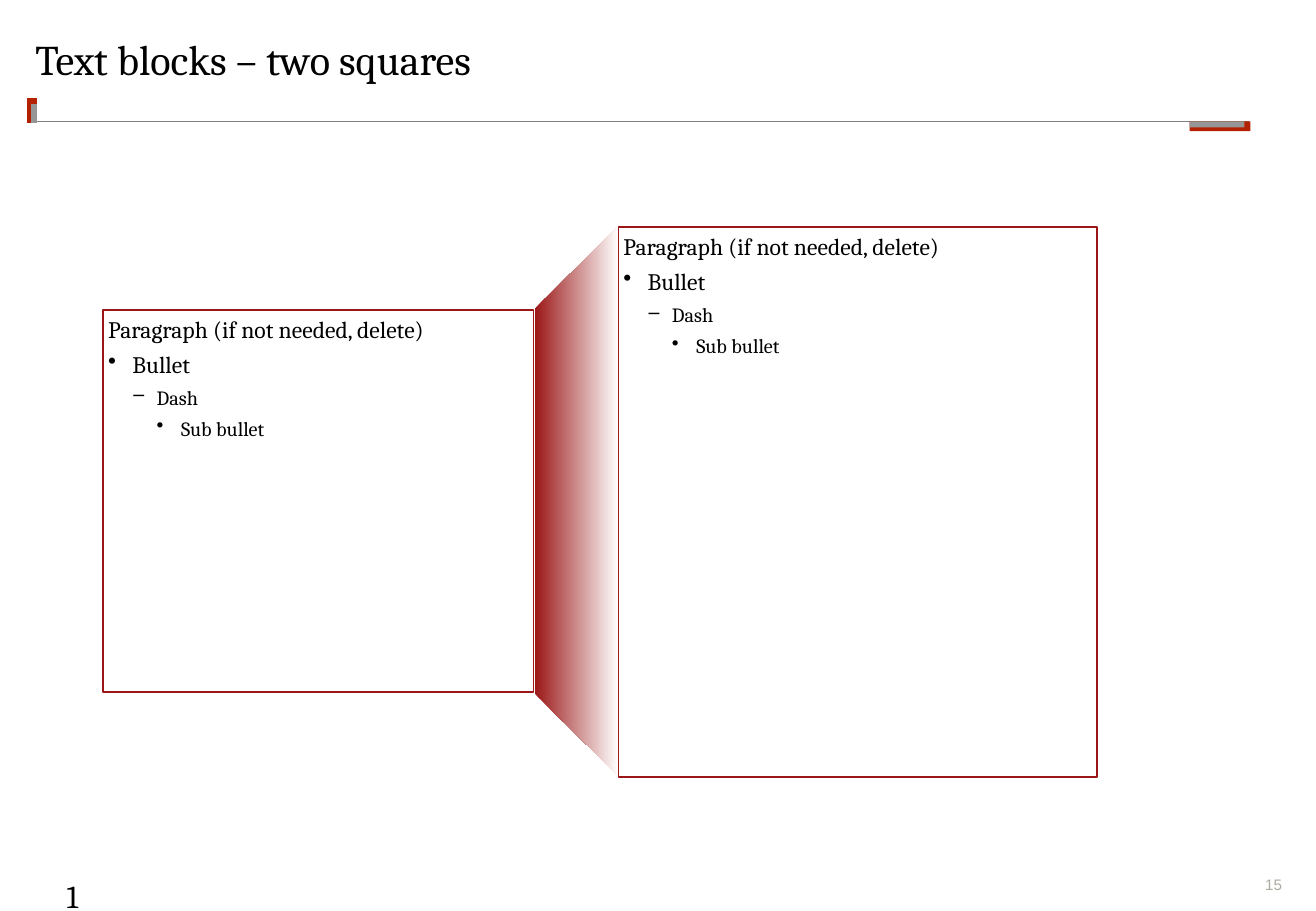
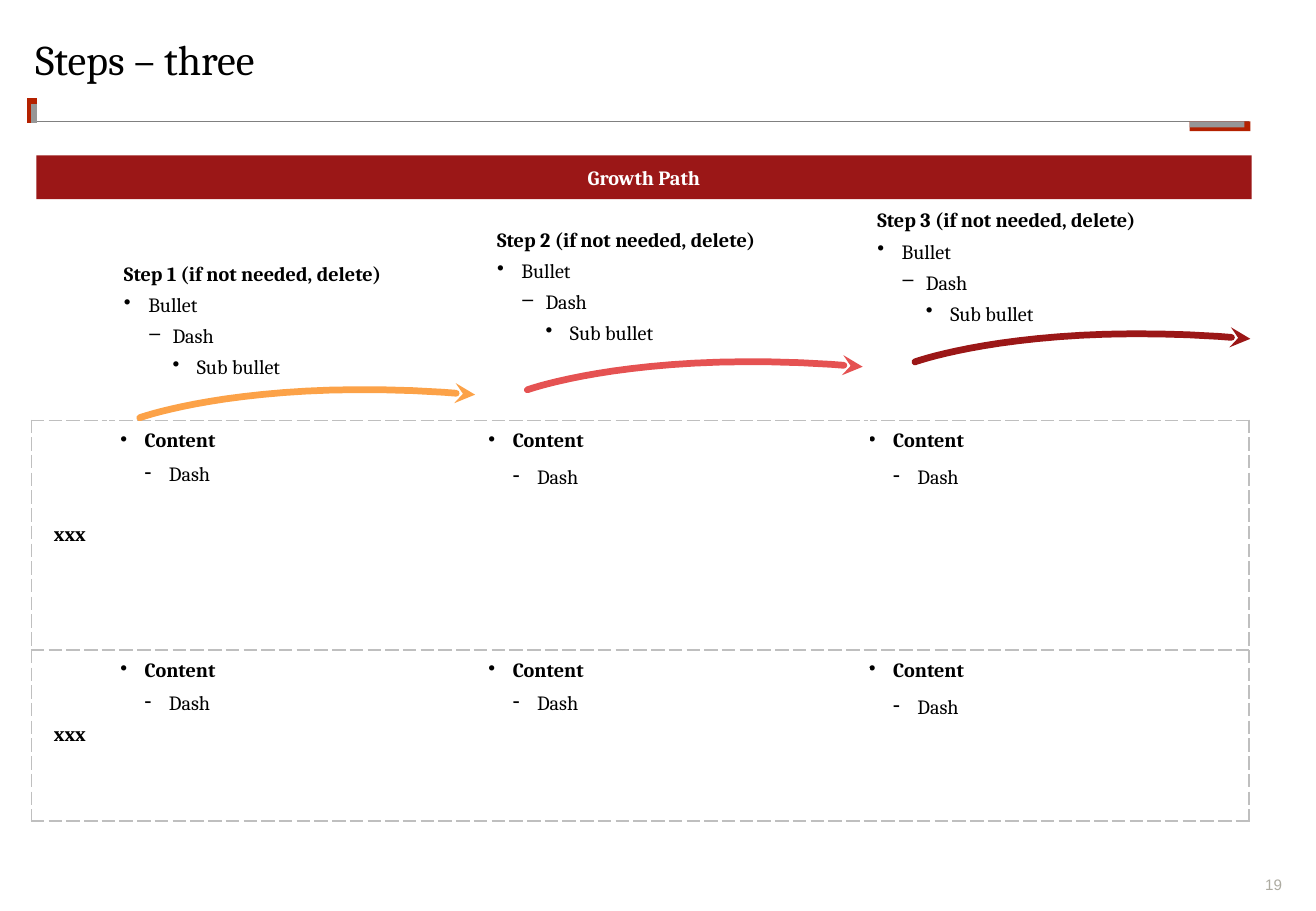
from lxml.etree import SubElement
from pptx import Presentation
from pptx.dml.color import RGBColor
from pptx.enum.shapes import MSO_CONNECTOR, MSO_SHAPE as Shape
from pptx.enum.text import MSO_ANCHOR as Anchor, PP_ALIGN as Align
from pptx.oxml.ns import qn
from pptx.util import Inches, Pt

color = RGBColor.from_string
BLACK, WHITE = "000000", "FFFFFF"
CRIMSON, RUST, GREY = "9B1717", "B42100", "969696"
DASH_GREY = "BFBFBF"
SNUG = (0.04, 0.04, 0.04, 0.04)
FLUSH = (0, 0, 0, 0)
STANDARD = (0.1, 0.05, 0.1, 0.05)
INDENT = 0.2


def write(holder, lines, inset=SNUG, ink=BLACK, font="Cambria", align=Align.LEFT,
          anchor=Anchor.TOP, before=0, spacing=None):
    """Fill a text frame or table cell; a line is (text, size, bold, level, bullet)."""
    holder.margin_left, holder.margin_top, holder.margin_right, holder.margin_bottom = map(Inches, inset)
    holder.vertical_anchor = anchor
    holder.word_wrap = True
    frame = getattr(holder, "text_frame", holder)
    frame.text = "\n".join(line[0] for line in lines)
    for para, (_, size, bold, level, bullet) in zip(frame.paragraphs, lines):
        para.alignment = align
        para.space_before = Pt(before)
        para.line_spacing = spacing
        if bullet:
            props = para._p.get_or_add_pPr()
            props.set("marL", str(Inches(INDENT * level)))
            props.set("indent", str(-Inches(INDENT)))
            SubElement(props, qn("a:buChar"), char=bullet)
        for span in para.runs:
            span.font.name = font
            span.font.size = Pt(size)
            span.font.bold = bold
            span.font.color.rgb = color(ink)


def add_box(slide, at, fill, outline=None):
    box = slide.shapes.add_shape(Shape.RECTANGLE, *map(Inches, at))
    box.shadow.inherit = False
    box.fill.solid()
    box.fill.fore_color.rgb = color(fill)
    if outline:
        box.line.color.rgb = color(outline)
        box.line.width = Pt(1)
    else:
        box.line.fill.background()
    return box


deck = Presentation()
deck.slide_width, deck.slide_height = Inches(10.83), Inches(7.5)

# Shared frame: page number, rules, corner marks, title
pages = []
for title, number in [("Text blocks – two squares", "15"), ("Steps – three", "19")]:
    page = deck.slides.add_slide(deck.slide_layouts[6])
    pages.append(page)
    number_box = page.shapes.add_textbox(*map(Inches, (10.24, 7.21, 0.31, 0.15)))
    write(number_box.text_frame, [(number, 9, False, 0, None)], FLUSH, "ADABA1", "Arial",
          Align.RIGHT, Anchor.BOTTOM)
    for x1, y1, x2, y2, hue, width in [
        (0.3, 1, 10.28, 1, "808080", 1),
        (0.26, 1.01, 0.26, 0.81, RUST, 6),
        (0.28, 1.01, 0.28, 0.86, GREY, 3),
    ]:
        rule = page.shapes.add_connector(MSO_CONNECTOR.STRAIGHT, *map(Inches, (x1, y1, x2, y2)))
        rule.line.color.rgb = color(hue)
        rule.line.width = Pt(width)
        SubElement(rule._element.spPr, qn("a:effectLst"))
    add_box(page, (9.79, 1, 0.5, 0.08), RUST)
    add_box(page, (9.79, 1, 0.45, 0.05), GREY)
    title_box = page.shapes.add_textbox(*map(Inches, (0.29, 0.32, 10.25, 0.67)))
    write(title_box.text_frame, [(title, 25, False, 0, None)], FLUSH, spacing=0.9)

squares, steps = pages

# Two squares joined by a fading trapezoid
extra_number = squares.shapes.add_textbox(*map(Inches, (0.45, 7.17, 0.38, 0.16)))
write(extra_number.text_frame, [("15", 19, False, 0, None)], STANDARD)
for at in [(0.85, 2.55, 3.54, 3.15), (5.09, 1.87, 3.94, 4.53)]:
    square = add_box(squares, at, WHITE, CRIMSON)
    write(square.text_frame, [
        ("Paragraph (if not needed, delete)", 14, False, 0, None),
        ("Bullet", 14, False, 1, "•"),
        ("Dash", 12, False, 2, "‒"),
        ("Sub bullet", 12, False, 3, "•"),
    ], before=4)

funnel = squares.shapes.add_shape(Shape.TRAPEZOID, *map(Inches, (2.48, 3.78, 4.53, 0.69)))
funnel.rotation = 270
funnel.adjustments[0] = 0.99
funnel.shadow.inherit = False
funnel.line.fill.background()
funnel.fill.gradient()
funnel.fill.gradient_angle = 270
for stop, position, hue in zip(funnel.fill.gradient_stops, (0, 1), (CRIMSON, WHITE)):
    stop.position = position
    stop.color.rgb = color(hue)

# Content table with dashed borders
table = steps.shapes.add_table(3, 4, *map(Inches, (0.26, 3.17, 10.02, 3.59))).table
table.first_row = table.horz_banding = False
for column, width in zip(table.columns, (0.63, 3.13, 3.13, 3.13)):
    column.width = Inches(width)
for row, height in zip(table.rows, (0.29, 1.89, 1.41)):
    row.height = Inches(height)
table.cell(0, 0).merge(table.cell(0, 2))

for r in range(3):
    for c in range(4):
        cell = table.cell(r, c)
        if r == 0:
            cell.text_frame.paragraphs[0]._p.get_or_add_endParaRPr().set("sz", "1000")
            borders = {"lnB": DASH_GREY}
        else:
            if c == 0:
                write(cell, [("xxx", 12, True, 0, None)], align=Align.CENTER, anchor=Anchor.MIDDLE)
            else:
                roomy = c == 3 or (r, c) == (1, 2)
                write(cell, [("Content", 12, True, 1, "•"), ("Dash", 12, False, 2, "-")],
                      STANDARD if c == 1 else (0, 0.05, 0, 0.05),
                      before=6 if roomy else 4, spacing=1.14)
            borders = {
                "lnL": DASH_GREY if c == 0 else WHITE,
                "lnR": DASH_GREY if c == 3 else WHITE,
                "lnT": DASH_GREY,
                "lnB": DASH_GREY,
            }
        cell_props = cell._tc.get_or_add_tcPr()
        for side, hue in borders.items():
            border = SubElement(cell_props, qn("a:" + side), w=str(Pt(1)))
            SubElement(SubElement(border, qn("a:solidFill")), qn("a:srgbClr"), val=hue)
            SubElement(border, qn("a:prstDash"), val="sysDash")
        cell.fill.background()

# Heading band
band = add_box(steps, (0.3, 1.28, 10, 0.36), CRIMSON)
write(band.text_frame, [("Growth Path", 12, True, 0, None)], ink=WHITE,
      align=Align.CENTER, anchor=Anchor.MIDDLE)

# Rising steps: a curved arrow and its text
SEGMENTS = 20
for i, (hue, left, top) in enumerate([("FCA248", 0.98, 2.11), ("E55252", 4.05, 1.83),
                                      (CRIMSON, 7.18, 1.67)]):
    start_x, start_y = 1.15 + 3.19 * i, 3.44 - 0.23 * i
    points = []
    for n in range(1, SEGMENTS + 1):
        t = n / SEGMENTS
        bend, end = 3 * t ** 2 * (1 - t), t ** 3
        points.append((Inches(start_x + 0.96 * bend + 2.76 * end),
                       Inches(start_y - 0.35 * bend - 0.19 * end)))
    builder = steps.shapes.build_freeform(Inches(start_x), Inches(start_y))
    builder.add_line_segments(points, close=False)
    arrow = builder.convert_to_shape()
    arrow.shadow.inherit = False
    arrow.fill.background()
    arrow.line.color.rgb = color(hue)
    arrow.line.width = Pt(4)
    stroke = arrow.line._get_or_add_ln()
    stroke.set("cap", "rnd")
    SubElement(stroke, qn("a:round"))
    SubElement(stroke, qn("a:tailEnd"), type="stealth")

    step_box = steps.shapes.add_textbox(*map(Inches, (left, top, 3.12, 1.21)))
    write(step_box.text_frame, [
        (f"Step {i + 1} (if not needed, delete)", 12, True, 0, None),
        ("Bullet", 12, False, 1, "•"),
        ("Dash", 12, False, 2, "‒"),
        ("Sub bullet", 12, False, 3, "•"),
    ], before=4)

deck.save("out.pptx")
